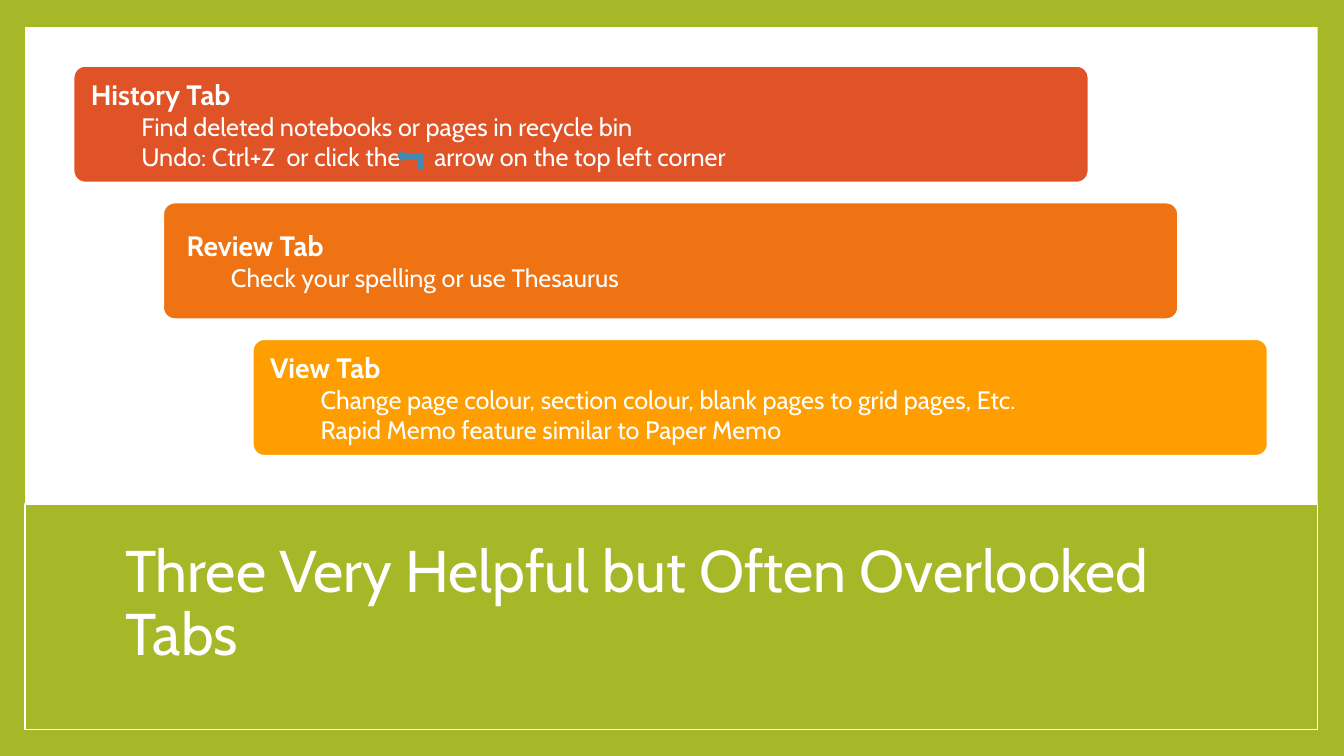
from dataclasses import dataclass

from pptx import Presentation
from pptx.dml import color
from pptx.enum import shapes, text
from pptx import util as u

WIDTH, HEIGHT = u.Inches(13.33), u.Inches(7.5)
COLUMN, ROW = WIDTH / 150, HEIGHT / 100
FONT = "Cabin"
WHITE, GREEN, BLUE = "FFFFFF", "A6B727", "418AB3"
CARD_LEFT, CARD_TOP, CARD_WIDTH, CARD_HEIGHT = 8.2, 8.7, 113.3, 15.47
COLUMN_STEP, ROW_STEP = 10, 18.07
ICON_GAP = 2000


@dataclass(frozen=True)
class Area:
    left: float
    top: float
    width: float
    height: float

    def lengths(self) -> tuple[int, int, int, int]:
        return (round(self.left * COLUMN), round(self.top * ROW),
                round(self.width * COLUMN), round(self.height * ROW))


@dataclass(frozen=True)
class Panel:
    area: Area
    fill: str
    line: str | None = None


@dataclass(frozen=True)
class Card:
    fill: str
    heading: str
    details: tuple[tuple[str, ...], ...]
    right_inset: float = 1.78
    heading_indent: float = 0


PANELS = (
    Panel(Area(0, 0, 150, 100), GREEN),
    Panel(Area(2.81, 3.6, 144.26, 92.93), WHITE),
    Panel(Area(2.81, 66.67, 144.26, 29.87), GREEN, WHITE),
)
CARDS = (
    Card("DF5327", "History Tab",
         (("Find deleted notebooks or pages in recycle bin",),
          ("Undo: Ctrl+Z  or click the", " ", "arrow on the top left corner")),
         right_inset=1.32),
    Card("EF7213", "Review Tab",
         (("Check your spelling or use Thesaurus",),), heading_indent=0.06),
    Card("FE9E00", "View Tab",
         (("Change page colour, section colour, blank pages to grid pages, Etc.",),
          ("Rapid Memo feature similar to Paper Memo",))),
)


def rgb(value: str) -> color.RGBColor:
    return color.RGBColor.from_string(value)


def draw_shape(page, kind, area: Area, fill: str, line: str | None = None,
               weight: float = 1):
    shape = page.shapes.add_shape(kind, *area.lengths())
    shape.shadow.inherit = False
    shape.fill.solid()
    shape.fill.fore_color.rgb = rgb(fill)
    if line:
        shape.line.color.rgb = rgb(line)
        shape.line.width = u.Pt(weight)
    else:
        shape.line.fill.background()
    return shape


def format_span(span, size: float, bold: bool = False) -> None:
    span.font.name = FONT
    span.font.size = u.Pt(size)
    span.font.bold = bold
    span.font.color.rgb = rgb(WHITE)


def write_para(para, parts: tuple[str, ...], size: float, indent: float,
               bold: bool = False) -> None:
    para.alignment = text.PP_ALIGN.LEFT
    para.element_properties = para._p.get_or_add_pPr()
    para.element_properties.set("marL", str(u.Inches(indent)))
    for part in parts:
        span = para.add_run()
        span.text = part
        format_span(span, size, bold)
        if part == " ":
            span.font._element.set("spc", str(ICON_GAP))


def draw_card(page, card: Card, index: int) -> None:
    area = Area(CARD_LEFT + index * COLUMN_STEP, CARD_TOP + index * ROW_STEP,
                CARD_WIDTH, CARD_HEIGHT)
    box = draw_shape(page, shapes.MSO_SHAPE.ROUNDED_RECTANGLE, area,
                     card.fill, WHITE, 1.5)
    box.adjustments[0] = 0.1
    frame = box.text_frame
    frame.word_wrap = True
    frame.vertical_anchor = text.MSO_ANCHOR.MIDDLE
    frame.margin_left = frame.margin_top = frame.margin_bottom = u.Inches(0.14)
    frame.margin_right = u.Inches(card.right_inset)
    write_para(frame.paragraphs[0], (card.heading,), 20, card.heading_indent, True)
    for detail in card.details:
        para = frame.add_paragraph()
        para.level = 1
        write_para(para, detail, 18, 0.5)


def place_title(page, wording: str, area: Area) -> None:
    title = page.shapes.title
    title.element.getparent().append(title.element)
    title.left, title.top, title.width, title.height = area.lengths()
    frame = title.text_frame
    frame.text = wording
    frame.word_wrap = True
    frame.auto_size = text.MSO_AUTO_SIZE.NONE
    frame.vertical_anchor = text.MSO_ANCHOR.MIDDLE
    para = frame.paragraphs[0]
    para.alignment = text.PP_ALIGN.LEFT
    para.line_spacing = 0.9
    format_span(para.runs[0], 42)


def main() -> None:
    deck = Presentation()
    deck.slide_width, deck.slide_height = WIDTH, HEIGHT
    page = deck.slides.add_slide(deck.slide_layouts[5])
    for panel in PANELS:
        draw_shape(page, shapes.MSO_SHAPE.RECTANGLE, panel.area, panel.fill, panel.line)
    place_title(page, "Three Very Helpful but Often Overlooked Tabs",
                Area(12.83, 70.13, 129.74, 19.73))
    for index, card in enumerate(CARDS):
        draw_card(page, card, index)
    arrow = draw_shape(page, shapes.MSO_SHAPE.BENT_UP_ARROW,
                       Area(44.9, 19.6, 1.8, 3.2), BLUE, BLUE, 1.5)
    arrow.rotation = 270
    deck.save("out.pptx")


if __name__ == "__main__":
    main()
